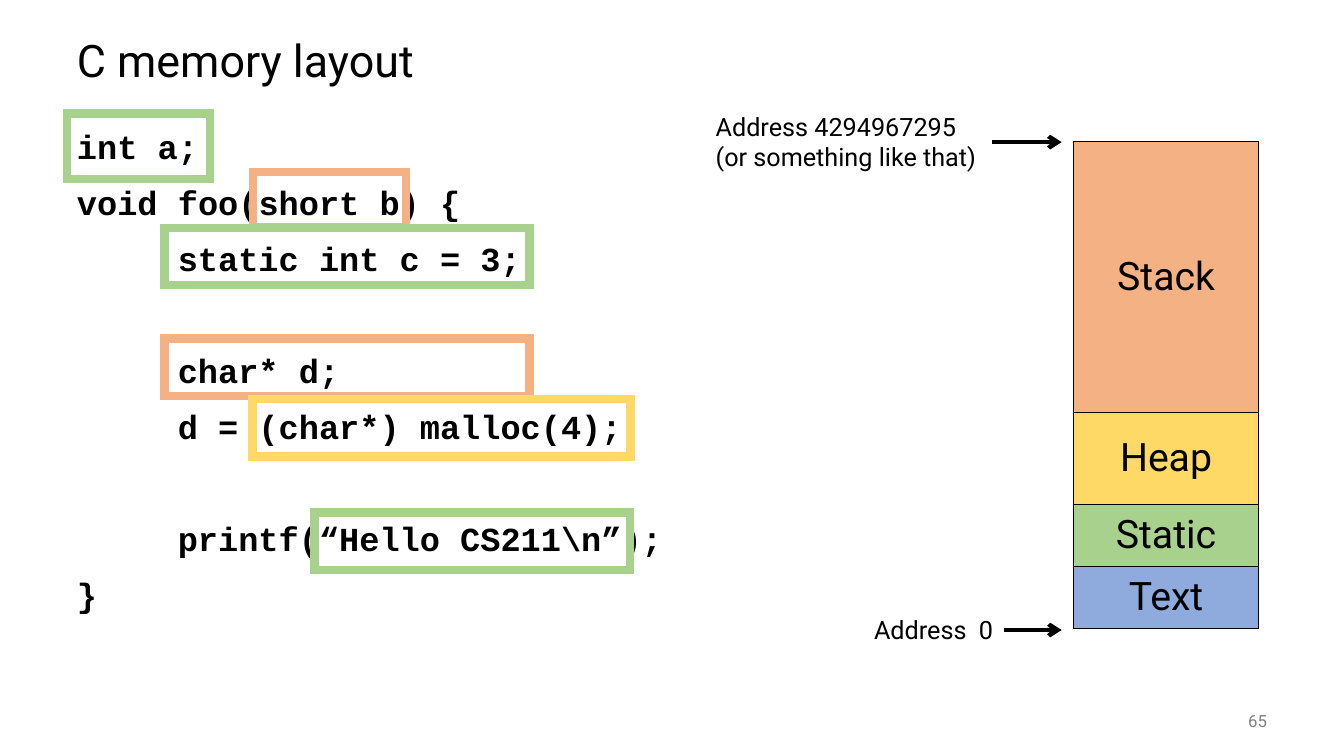
from pptx import Presentation, util as u
from pptx.dml.color import RGBColor
from pptx.enum import shapes, text
from pptx.oxml.ns import qn
from lxml import etree

BLACK = RGBColor(0, 0, 0)
GRAY = RGBColor(0x80, 0x80, 0x80)
ORANGE = RGBColor(0xF4, 0xB1, 0x83)
YELLOW = RGBColor(0xFF, 0xD9, 0x66)
GREEN = RGBColor(0xA9, 0xD1, 0x8E)
BLUE = RGBColor(0x8F, 0xAA, 0xDC)

CELL = u.Inches(0.1)
MARGIN = 6.65
CODE_INDENT = 10
ARROW_TIP = 105.3
TABLE_LEFT, TABLE_TOP, TABLE_WIDTH = 106.5, 14.05, 18.3
LINE_GAP, LINE_PITCH = 14, 40

SEGMENTS = [("Stack", 26.9, ORANGE), ("Heap", 9.1, YELLOW),
            ("Static", 6.15, GREEN), ("Text", 6.15, BLUE)]

CODE_BLOCKS = [
    ["int a;", "void foo(short b) {", "\tstatic int c = 3;"],
    ["\tchar* d;", "\td = (char*) malloc(4);"],
    ["\tprintf(“Hello CS211\\n”);", "}"],
]

FRAMES = [
    (MARGIN, 11.25, 14.2, 6.5, GREEN),
    (25.1, 17.05, 15.2, 5.5, ORANGE),
    (16.3, 22.6, 36.2, 5.7, GREEN),
    (16.3, 33.6, 36.2, 5.7, ORANGE),
    (25.05, 39.6, 37.5, 5.7, YELLOW),
    (31.2, 50.85, 31.3, 5.7, GREEN),
]


def grid(*cells):
    return [round(cell * CELL) for cell in cells]


def add_tab_stop(paragraph, column):
    properties = paragraph._p.get_or_add_pPr()
    stops = etree.SubElement(properties, qn("a:tabLst"))
    etree.SubElement(stops, qn("a:tab"), pos=str(grid(column)[0]), algn="l")


def write(paragraph, content, size=18, font="Roboto", color=BLACK, bold=False,
          align=text.PP_ALIGN.LEFT, spacing=1.0, before=0, tab=None):
    paragraph.text = content
    paragraph.alignment = align
    paragraph.line_spacing = spacing
    paragraph.space_before = u.Pt(before)
    if tab:
        add_tab_stop(paragraph, tab)
    paragraph.font.name = font
    paragraph.font.size = u.Pt(size)
    paragraph.font.bold = bold
    paragraph.font.color.rgb = color


def add_frame_for_text(slide, area, anchor=text.MSO_ANCHOR.TOP):
    frame = slide.shapes.add_textbox(*grid(*area)).text_frame
    frame.word_wrap = True
    frame.vertical_anchor = anchor
    return frame


def add_label(slide, area, content, anchor=text.MSO_ANCHOR.TOP, **style):
    frame = add_frame_for_text(slide, area, anchor)
    write(frame.paragraphs[0], content, **style)


def add_code(slide, area):
    frame = add_frame_for_text(slide, area)
    paragraph = frame.paragraphs[0]
    for block_index, block in enumerate(CODE_BLOCKS):
        for line_index, line in enumerate(block):
            before = LINE_GAP
            if line_index == 0:
                before = LINE_GAP + LINE_PITCH if block_index else 0
            if block_index or line_index:
                paragraph = frame.add_paragraph()
            write(paragraph, line, size=24, font="Courier New", bold=True,
                  spacing=0.9, before=before, tab=CODE_INDENT)


def add_highlight(slide, left, top, width, height, color):
    shape = slide.shapes.add_shape(
        shapes.MSO_SHAPE.RECTANGLE, *grid(left, top, width, height))
    shape.shadow.inherit = False
    shape.fill.background()
    shape.line.color.rgb = color
    shape.line.width = u.Pt(6)
    line = shape.line._get_or_add_ln()
    etree.SubElement(line, qn("a:miter"), lim="800000")


def add_arrow(slide, start, row):
    connector = slide.shapes.add_connector(
        shapes.MSO_CONNECTOR.STRAIGHT, *grid(start, row, ARROW_TIP, row))
    connector.line.color.rgb = BLACK
    connector.line.width = u.Pt(3)
    line = connector.line._get_or_add_ln()
    etree.SubElement(line, qn("a:tailEnd"), type="arrow")
    etree.SubElement(connector._element.spPr, qn("a:effectLst"))


def add_borders(cell):
    properties = cell._tc.get_or_add_tcPr()
    for index, side in enumerate(("a:lnL", "a:lnR", "a:lnT", "a:lnB")):
        border = etree.Element(qn(side), w=str(u.Pt(1)))
        fill = etree.SubElement(border, qn("a:solidFill"))
        etree.SubElement(fill, qn("a:srgbClr"), val=str(BLACK))
        properties.insert(index, border)


def add_memory_table(slide):
    height = sum(rows for _, rows, _ in SEGMENTS)
    table = slide.shapes.add_table(
        len(SEGMENTS), 1,
        *grid(TABLE_LEFT, TABLE_TOP, TABLE_WIDTH, height)).table
    table.first_row = False
    table.horz_banding = False
    for index, (name, rows, color) in enumerate(SEGMENTS):
        table.rows[index].height = grid(rows)[0]
        cell = table.cell(index, 0)
        cell.fill.solid()
        cell.fill.fore_color.rgb = color
        cell.vertical_anchor = text.MSO_ANCHOR.MIDDLE
        write(cell.text_frame.paragraphs[0], name, size=28,
              align=text.PP_ALIGN.CENTER)
        add_borders(cell)


def main():
    presentation = Presentation()
    presentation.slide_width = u.Inches(13.33)
    presentation.slide_height = u.Inches(7.5)
    slide = presentation.slides.add_slide(presentation.slide_layouts[6])
    middle, right = text.MSO_ANCHOR.MIDDLE, text.PP_ALIGN.RIGHT

    add_label(slide, (MARGIN, 2.5, 120, 7.5), "C memory layout",
              anchor=middle, size=32, spacing=0.9)
    add_code(slide, (MARGIN, 12.5, 64.5, 55))
    add_label(slide, (116.65, 69.5, 10, 4), "65", anchor=middle,
              size=12, color=GRAY, align=right)
    add_memory_table(slide)
    for frame in FRAMES:
        add_highlight(slide, *frame)
    add_label(slide, (72.5, 60.5, 27, 4), "Address  0", align=right)
    add_arrow(slide, 99.6, 62.5)
    add_label(slide, (70, 10.5, 28.4, 7.1),
              "Address 4294967295\v(or something like that)")
    add_arrow(slide, 98.4, 14.1)
    presentation.save("out.pptx")


if __name__ == "__main__":
    main()
